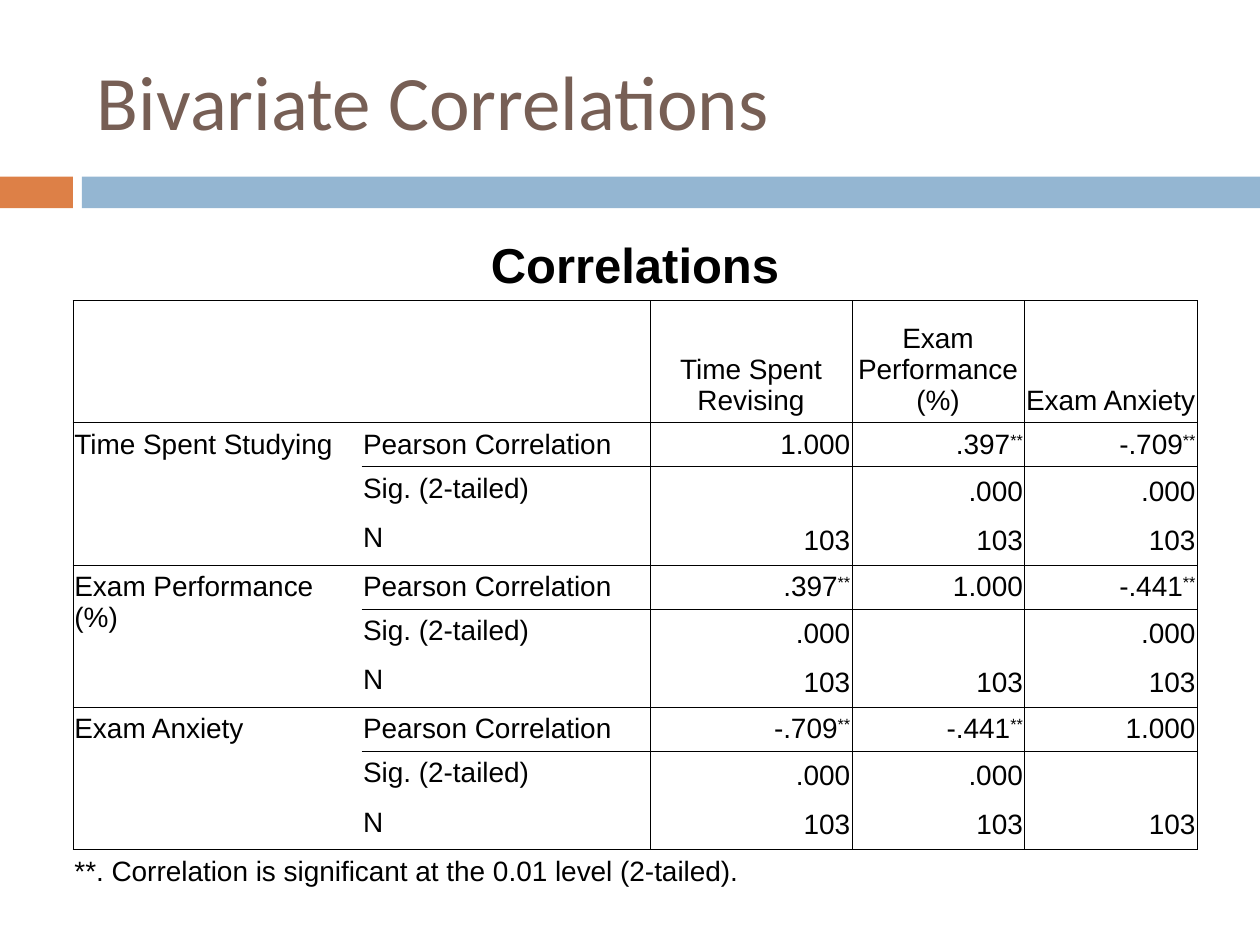
from lxml.etree import SubElement
from pptx import Presentation
from pptx.dml.color import RGBColor
from pptx.enum.shapes import MSO_SHAPE
from pptx.enum.text import MSO_ANCHOR as Anchor, PP_ALIGN as Align
from pptx.oxml.ns import qn
from pptx.util import Cm, Pt

BROWN = RGBColor(0x77, 0x5F, 0x55)
ORANGE = RGBColor(0xDD, 0x80, 0x47)
BLUE = RGBColor(0x94, 0xB6, 0xD2)
BLACK = RGBColor(0, 0, 0)
WHITE = RGBColor(255, 255, 255)

NO_GRID_STYLE = "{2D5ABB26-0587-4C30-8999-92F81FD0307C}"
STARS = "**"
COL_WIDTHS = [5.82, 5.82, 4.06, 3.48, 3.48]
ROW_HEIGHTS = [1.32, 2.46] + [0.84, 0.99, 0.99] * 3 + [1.04]
COL_HEADS = ["Time Spent Revising", "Exam Performance (%)", "Exam Anxiety"]
STATISTICS = ["Pearson Correlation", "Sig. (2-tailed)", "N"]
CORRELATIONS = {
    "Time Spent Studying": ["1.000", ".397**", "-.709**"],
    "Exam Performance (%)": [".397**", "1.000", "-.441**"],
    "Exam Anxiety": ["-.709**", "-.441**", "1.000"],
}
FOOTNOTE = "**. Correlation is significant at the 0.01 level (2-tailed)."
FIRST_ROW, GROUP_SIZE, LAST_ROW = 2, 3, 11
RULED_ROWS = {1: 0.45, 2: 0.45, 5: 0.23, 8: 0.23, LAST_ROW: 0.45}
RULED_COLS = {0: 0.45, 2: 0.45, 3: 0.23, 4: 0.23, 5: 0.45}


def add_text(tf, text, size=16, font="Arial", color=BLACK, bold=False, align=Align.LEFT):
    """Fill the first paragraph, raising stars that follow a number."""
    p = tf.paragraphs[0]
    p.alignment = align
    body = text.removesuffix(STARS)
    for part in (body, text[len(body):]):
        if part:
            r = p.add_run()
            r.text = part
            r.font.size, r.font.name, r.font.bold = Pt(size), font, bold
            r.font.color.rgb = color
            if part == STARS:
                r.font._element.set("baseline", "30000")


def add_title(slide, left, top, width, height):
    """Place the slide title in front of the bars."""
    title = slide.shapes.title
    title.left, title.top, title.width, title.height = map(Cm, (left, top, width, height))
    title.text_frame.vertical_anchor = Anchor.MIDDLE
    add_text(title.text_frame, "Bivariate Correlations", size=44, font="Calibri", color=BROWN)
    slide.shapes.element.append(title.element)


def add_bars(slide, left, top, width, height):
    """Draw the short orange bar and the long blue bar beside it."""
    short, gap = 1.47, 0.18
    long_left = short + gap
    for x, w, color in ((0, short, ORANGE), (long_left, width - long_left, BLUE)):
        sp = slide.shapes.add_shape(MSO_SHAPE.RECTANGLE, Cm(left + x), Cm(top), Cm(w), Cm(height))
        sp.shadow.inherit = False
        sp.fill.solid()
        sp.fill.fore_color.rgb = color
        sp.line.fill.background()


def add_border(cell, side, width):
    """Rule one side of a cell in black."""
    ln = SubElement(cell._tc.get_or_add_tcPr(), qn(f"a:ln{side}"), w=str(Pt(width)))
    SubElement(SubElement(ln, qn("a:solidFill")), qn("a:srgbClr"), val=str(BLACK))


def format_cell(cell, row, col):
    """Set the margins, rules and fill that follow from a cell's place."""
    cell.margin_left = cell.margin_right = Cm(0.03)
    cell.margin_top = cell.margin_bottom = Cm(0.13)
    in_grid = 0 < row < LAST_ROW
    sides = (
        ("L", RULED_COLS.get(col) if in_grid else None),
        ("R", RULED_COLS.get(col + 1) if in_grid else None),
        ("T", RULED_ROWS.get(row)),
        ("B", RULED_ROWS.get(row + 1)),
    )
    for side, width in sides:
        if width:
            add_border(cell, side, width)
    cell.fill.solid()
    cell.fill.fore_color.rgb = WHITE
    SubElement(cell.text_frame.paragraphs[0]._p, qn("a:endParaRPr"), sz="1600")


def set_cell(table, row, col, text, anchor=Anchor.TOP, **fmt):
    """Write one cell of the table."""
    cell = table.cell(row, col)
    cell.vertical_anchor = anchor
    add_text(cell.text_frame, text, **fmt)


def add_group(table, top, index, name, values):
    """Write the three statistics rows of one variable."""
    table.cell(top, 0).merge(table.cell(top + GROUP_SIZE - 1, 0))
    set_cell(table, top, 0, name)
    significance = ["" if i == index else ".000" for i in range(len(values))]
    rows = (values, significance, ["103"] * len(values))
    for row, (label, numbers) in enumerate(zip(STATISTICS, rows), top):
        set_cell(table, row, 1, label)
        for col, number in enumerate(numbers, 2):
            set_cell(table, row, col, number, Anchor.MIDDLE, align=Align.RIGHT)


def add_correlations(slide, left, top, width, height):
    """Build the correlation table."""
    frame = slide.shapes.add_table(
        len(ROW_HEIGHTS), len(COL_WIDTHS), Cm(left), Cm(top), Cm(width), Cm(height))
    table = frame.table
    table.first_row = table.horz_banding = False
    next(frame.element.iter(qn("a:tableStyleId"))).text = NO_GRID_STYLE
    for column, w in zip(table.columns, COL_WIDTHS):
        column.width = Cm(w)
    for row, (tr, h) in enumerate(zip(table.rows, ROW_HEIGHTS)):
        tr.height = Cm(h)
        for col, cell in enumerate(tr.cells):
            format_cell(cell, row, col)

    table.cell(0, 0).merge(table.cell(0, 4))
    set_cell(table, 0, 0, "Correlations", Anchor.MIDDLE, size=28, bold=True, align=Align.CENTER)
    for col, head in enumerate(COL_HEADS, 2):
        set_cell(table, 1, col, head, Anchor.BOTTOM, align=Align.CENTER)
    for i, (name, values) in enumerate(CORRELATIONS.items()):
        add_group(table, FIRST_ROW + i * GROUP_SIZE, i, name, values)
    table.cell(LAST_ROW, 0).merge(table.cell(LAST_ROW, 2))
    set_cell(table, LAST_ROW, 0, FOOTNOTE)


def main():
    """Build and save the slide."""
    prs = Presentation()
    prs.slide_width, prs.slide_height = Cm(25.4), Cm(19.05)
    slide = prs.slides.add_slide(prs.slide_layouts[5])
    add_bars(slide, 0, 3.56, 25.4, 0.64)
    add_title(slide, 1.7, 0.64, 22.66, 2.74)
    add_correlations(slide, 1.47, 4.7, sum(COL_WIDTHS), sum(ROW_HEIGHTS))
    prs.save("out.pptx")


if __name__ == "__main__":
    main()
